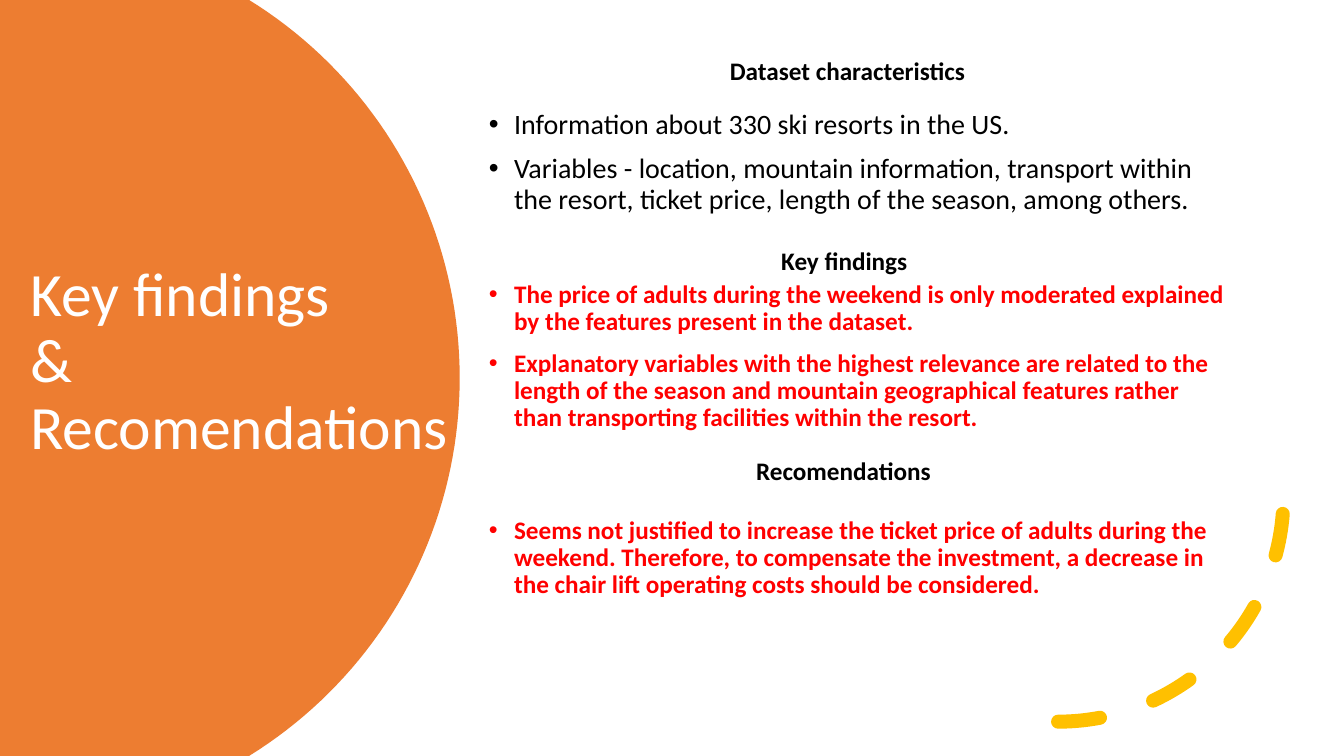
from math import asin, cos, sin

from pptx import Presentation
from pptx import util as u
from pptx.dml.color import RGBColor
from pptx.enum import dml, shapes, text
from pptx.oxml.ns import qn

ORANGE = RGBColor(0xED, 0x7D, 0x31)
GOLD = RGBColor(0xFF, 0xC0, 0x00)
WHITE = RGBColor(0xFF, 0xFF, 0xFF)
BLACK = RGBColor(0, 0, 0)
RED = RGBColor(0xFF, 0, 0)

WIDE, HIGH = 13.33, 7.5
BODY_X, BODY_W = 4.75, 7.55

HEADS = [
    ("Dataset characteristics", (7.14, 0.5, 2.55, 0.4)),
    ("Key findings", (7.65, 2.38, 1.46, 0.4)),
    ("Recomendations", (7.4, 4.47, 1.95, 0.4)),
]

# Top, height, font format and items of each list
LISTS = [
    (0.69, 1.85, {"size": u.Pt(20)}, BLACK, [
        "Information about 330 ski resorts in the US.",
        "Variables - location, mountain information, transport within the "
        "resort, ticket price, length of the season, among others."]),
    (2.12, 2.84, {"size": u.Pt(18), "bold": True}, RED, [
        "The price of adults during the weekend is only moderated explained "
        "by the features present in the dataset.",
        "Explanatory variables with the highest relevance are related to the "
        "length of the season and mountain geographical features rather than "
        "transporting facilities within the resort."]),
    (4.12, 2.84, {"size": u.Pt(18), "bold": True}, RED, [
        "Seems not justified to increase the ticket price of adults during "
        "the weekend. Therefore, to compensate the investment, a decrease in "
        "the chair lift operating costs should be considered."]),
]


def apply(target, form):
    for key, value in form.items():
        setattr(target, key, value)


def add_run(para, words, form, color):
    run = para.add_run()
    run.text = words
    apply(run.font, {"name": "Calibri", **form})
    run.font.color.rgb = color


def add_box(slide, area, form):
    frame = slide.shapes.add_textbox(*map(u.Inches, area)).text_frame
    apply(frame, form)
    return frame


def add_disc(slide, mid_x, radius):
    """Fill the left side up to a circle cut off by the slide's edges."""
    mid_y = HIGH / 2
    half, steps = asin(mid_y / radius), 80
    turns = [half * (2 * i / steps - 1) for i in range(steps + 1)]
    rim = [(u.Inches(mid_x + radius * cos(t)),
            u.Inches(mid_y + radius * sin(t))) for t in turns]
    path = slide.shapes.build_freeform(0, 0)
    path.add_line_segments(rim + [(0, u.Inches(HIGH))], close=True)
    disc = path.convert_to_shape()
    disc.shadow.inherit = False
    disc.fill.solid()
    disc.fill.fore_color.rgb = ORANGE
    disc.line.fill.background()


def add_arc(slide, area):
    arc = slide.shapes.add_shape(shapes.MSO_SHAPE.ARC, *map(u.Inches, area))
    arc.shadow.inherit = False
    arc.fill.background()
    arc.line.color.rgb = GOLD
    apply(arc.line, {"width": u.Pt(10), "dash_style": dml.MSO_LINE.DASH})
    # Round dash ends, turned to the lower right
    arc.line._get_or_add_ln().set("cap", "rnd")
    arc._element.spPr.find(qn("a:xfrm")).set("flipV", "1")


def add_title(slide, lines, area):
    frame = add_box(slide, area, {
        "word_wrap": True, "vertical_anchor": text.MSO_ANCHOR.MIDDLE})
    para = frame.paragraphs[0]
    para.line_spacing = 0.9
    for i, line in enumerate(lines):
        if i:
            para.add_line_break()
        add_run(para, line, {"size": u.Pt(44)}, WHITE)


def add_head(slide, words, area):
    frame = add_box(slide, area, {
        "word_wrap": False, "auto_size": text.MSO_AUTO_SIZE.SHAPE_TO_FIT_TEXT})
    form = {"size": u.Pt(18), "bold": True}
    add_run(frame.paragraphs[0], words, form, BLACK)


def add_list(slide, top, high, form, color, items):
    frame = add_box(slide, (BODY_X, top, BODY_W, high), {
        "word_wrap": True, "vertical_anchor": text.MSO_ANCHOR.MIDDLE})
    for i, item in enumerate(items):
        para = frame.add_paragraph() if i else frame.paragraphs[0]
        apply(para, {"line_spacing": 0.9, "space_before": u.Pt(10)})
        add_run(para, item, form, color)
        # Hanging bullet
        props = para._p.get_or_add_pPr()
        props.set("marL", str(u.Inches(0.25)))
        props.set("indent", str(-u.Inches(0.25)))
        font = props.makeelement(qn("a:buFont"), {"typeface": "Arial"})
        mark = props.makeelement(qn("a:buChar"), {"char": "•"})
        props.extend([font, mark])


def main():
    deck = Presentation()
    apply(deck, {"slide_width": u.Inches(WIDE),
                 "slide_height": u.Inches(HIGH)})
    slide = deck.slides.add_slide(deck.slide_layouts[6])

    # Left panel and accent
    add_disc(slide, 0.15, 4.41)
    add_title(slide, ["Key findings", "&", "Recomendations"],
              (0.2, 1.16, 4.82, 4.88))
    add_arc(slide, (8.26, 2.69, 4.47, 4.47))

    # Lists and their headings
    for part in LISTS:
        add_list(slide, *part)
    for words, area in HEADS:
        add_head(slide, words, area)

    deck.save("out.pptx")


if __name__ == "__main__":
    main()
